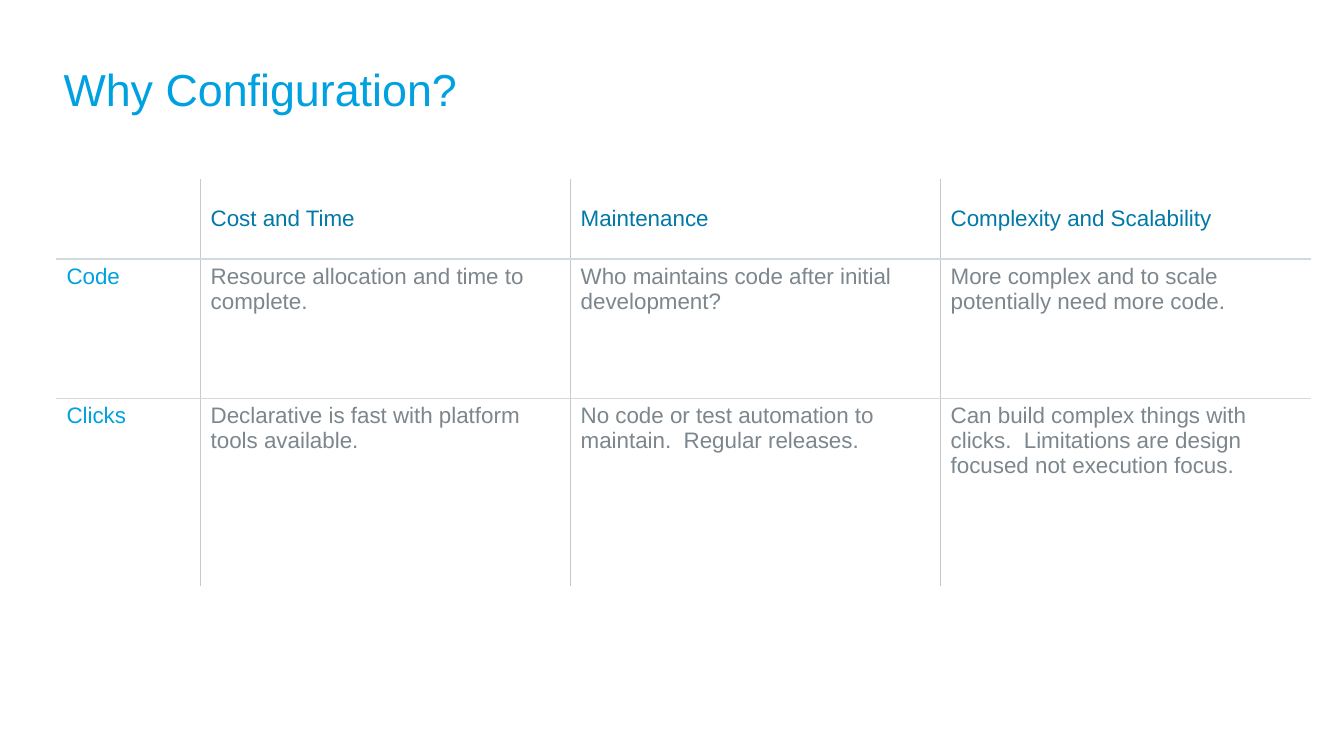
import pptx
import pptx.dml.color
import pptx.enum.text
import pptx.oxml
import pptx.oxml.ns
import pptx.util

Inches = pptx.util.Inches
ANCHOR = pptx.enum.text.MSO_ANCHOR

BRIGHT, DEEP, GREY = "00A1E0", "0078A8", "7C868D"
COLUMN_RULES = [("C9C9C9", 0.75), ("C9C9C9", 0.75), ("C8C8C8", 1)]
ROW_RULE = ("D0D9DE", 1)

COLUMN_WIDTHS = [1.43] + [3.67] * 3
ROW_HEIGHTS = [0.79, 1.38, 1.87]
CELL_TEXTS = [
    ["", "Cost and Time", "Maintenance", "Complexity and Scalability"],
    ["Code",
     "Resource allocation and time to complete.",
     "Who maintains code after initial development?",
     "More complex and to scale potentially need more code."],
    ["Clicks",
     "Declarative is fast with platform tools available.",
     "No code or test automation to maintain.  Regular releases.",
     "Can build complex things with clicks.  Limitations are design focused not execution focus."],
]


def style_font(font, size, color):
    for name, value in {"name": "Arial", "size": pptx.util.Pt(size), "bold": False}.items():
        setattr(font, name, value)
    font.color.rgb = pptx.dml.color.RGBColor.from_string(color)


def add_borders(cell, borders):
    """Put (side, color, points) lines, ordered L, R, T, B, ahead of the cell's fill."""
    properties = cell._tc.get_or_add_tcPr()
    for position, (side, color, points) in enumerate(borders):
        line = pptx.oxml.parse_xml(
            f'<a:ln{side} {pptx.oxml.ns.nsdecls("a")} w="{pptx.util.Pt(points)}">'
            f'<a:solidFill><a:srgbClr val="{color}"/></a:solidFill></a:ln{side}>')
        properties.insert(position, line)


deck = pptx.Presentation()
deck.slide_width, deck.slide_height = Inches(13.33), Inches(7.5)
page = deck.slides.add_slide(deck.slide_layouts[5])

title = page.shapes.title
title.left, title.top, title.width, title.height = map(Inches, (0.63, 0.07, 12.08, 1.08))
title_frame = title.text_frame
title_format = {"margin_left": 0, "margin_top": 0, "margin_right": 0, "margin_bottom": 0,
                "vertical_anchor": ANCHOR.BOTTOM, "word_wrap": True}
for name, value in title_format.items():
    setattr(title_frame, name, value)
title_frame.text = "Why Configuration?"
title_frame.paragraphs[0].alignment = pptx.enum.text.PP_ALIGN.LEFT
style_font(title_frame.paragraphs[0].runs[0].font, 32, BRIGHT)

row_count, column_count = len(ROW_HEIGHTS), len(COLUMN_WIDTHS)
table = page.shapes.add_table(
    row_count, column_count, Inches(0.56), Inches(1.78),
    Inches(sum(COLUMN_WIDTHS)), Inches(sum(ROW_HEIGHTS))).table
table.horz_banding = False
for column, width in zip(table.columns, COLUMN_WIDTHS):
    column.width = Inches(width)
for row, height in zip(table.rows, ROW_HEIGHTS):
    row.height = Inches(height)

for row_index, texts in enumerate(CELL_TEXTS):
    for column_index, text in enumerate(texts):
        cell = table.cell(row_index, column_index)
        cell.text = text
        cell.fill.background()
        cell.vertical_anchor = ANCHOR.TOP if row_index else ANCHOR.MIDDLE
        color = DEEP if row_index == 0 else GREY if column_index else BRIGHT
        style_font(cell.text_frame.paragraphs[0].font, 16, color)
        for span in cell.text_frame.paragraphs[0].runs:
            style_font(span.font, 16, color)

        borders = []
        if column_index > 0:
            borders.append(("L", *COLUMN_RULES[column_index - 1]))
        if column_index < column_count - 1:
            borders.append(("R", *COLUMN_RULES[column_index]))
        if row_index > 0:
            borders.append(("T", *ROW_RULE))
        if row_index < row_count - 1:
            borders.append(("B", *ROW_RULE))
        add_borders(cell, borders)

deck.save("out.pptx")
